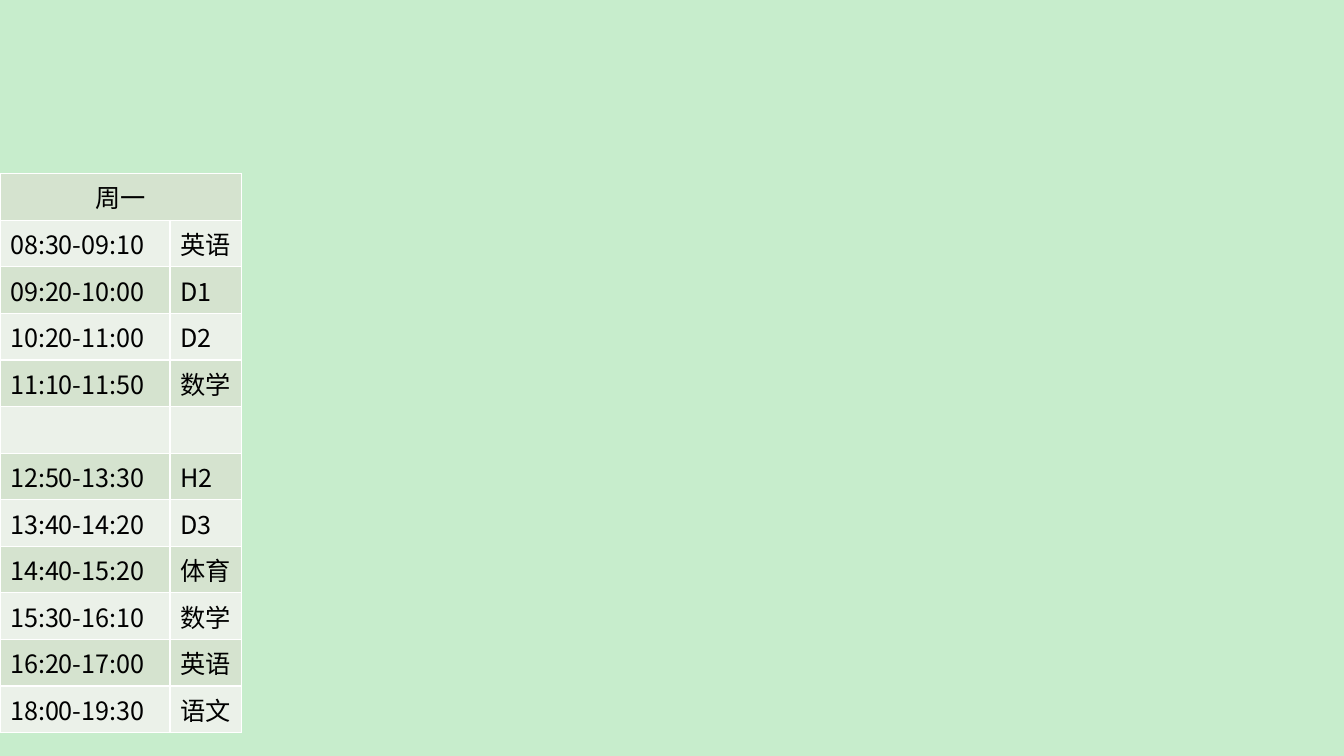
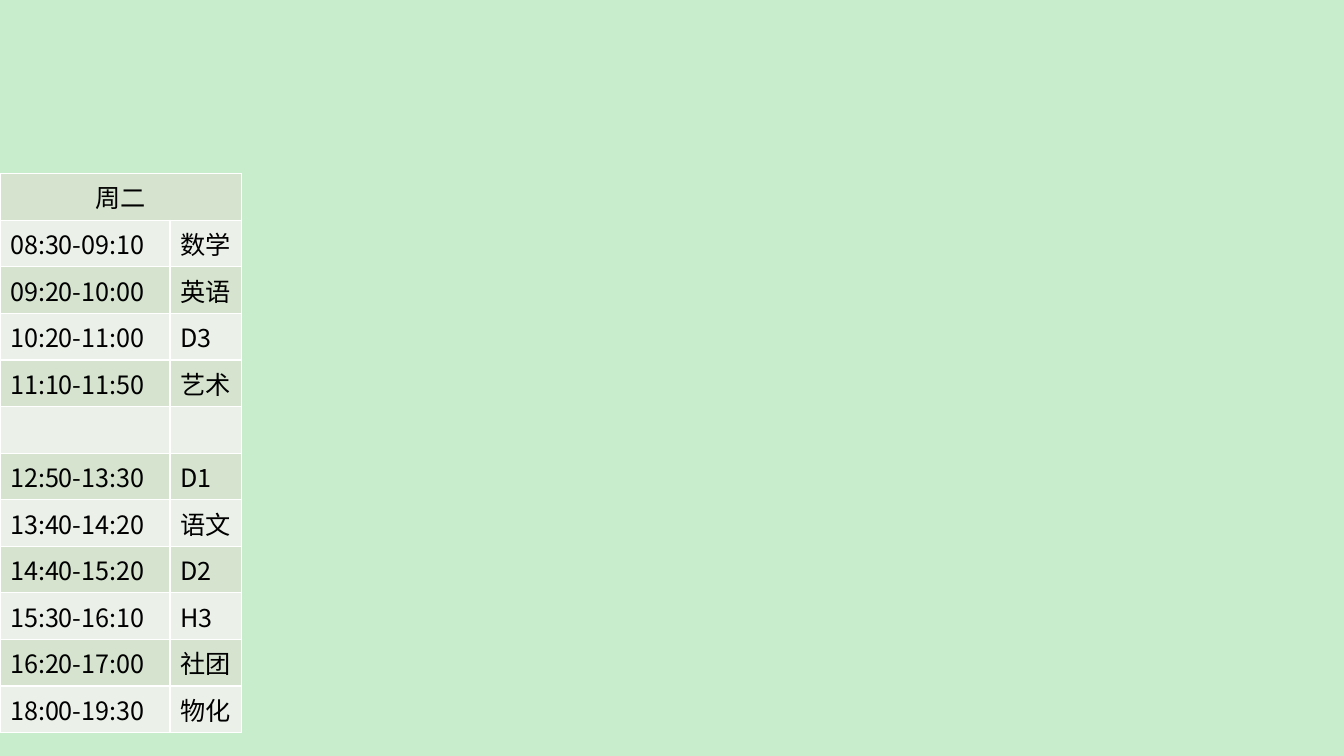
from dataclasses import dataclass

from lxml import etree
from pptx import Presentation
from pptx.dml import color
from pptx.enum import text
from pptx.oxml import ns
from pptx.util import Pt

TIMES = [
    "08:30-09:10", "09:20-10:00", "10:20-11:00", "11:10-11:50", "",
    "12:50-13:30", "13:40-14:20", "14:40-15:20", "15:30-16:10",
    "16:20-17:00", "18:00-19:30",
]
TIMETABLES = {
    "周一": ["英语", "D1", "D2", "数学", "", "H2", "D3", "体育", "数学", "英语", "语文"],
    "周二": ["数学", "英语", "D3", "艺术", "", "D1", "语文", "D2", "H3", "社团", "物化"],
}


@dataclass(frozen=True)
class Theme:
    background: str = "C7EDCC"
    bands: tuple = ("D5E3CF", "EBF1E9")
    border: str = "FFFFFF"
    ink: str = "000000"
    font: str = "Noto Sans CJK SC"
    text_size: float = 18
    border_width: float = 1


THEME = Theme()
SLIDE_SIZE = (960, 540)
TABLE_TOP = 124
COLUMN_WIDTHS = (121.4, 51.1)
ROW_HEIGHT = 29.2


def paint(fill, rgb):
    fill.solid()
    fill.fore_color.rgb = color.RGBColor.from_string(rgb)


def add_borders(cell):
    """Draw the four edges; they must come before the cell's fill."""
    properties = cell._tc.get_or_add_tcPr()
    for position, edge in enumerate(("lnL", "lnR", "lnT", "lnB")):
        line = etree.Element(ns.qn(f"a:{edge}"), w=str(Pt(THEME.border_width)))
        fill = etree.SubElement(line, ns.qn("a:solidFill"))
        etree.SubElement(fill, ns.qn("a:srgbClr"), val=THEME.border)
        properties.insert(position, line)


def write(cell, wording, alignment):
    """Write the wording; an empty cell keeps the type size and font as its end mark."""
    paragraph = cell.text_frame.paragraphs[0]
    paragraph.alignment = alignment
    run = paragraph.add_run()
    run.text = wording
    formats = {"size": Pt(THEME.text_size), "name": THEME.font, "bold": False}
    for attribute, value in formats.items():
        setattr(run.font, attribute, value)
    run.font.color.rgb = color.RGBColor.from_string(THEME.ink)
    properties = run._r.get_or_add_rPr()
    etree.SubElement(properties, ns.qn("a:ea"), typeface=THEME.font)
    if not wording:
        properties.tag = ns.qn("a:endParaRPr")
        paragraph._p.replace(run._r, properties)


def add_timetable(slide, day, subjects):
    rows = [(day, ""), *zip(TIMES, subjects)]
    frame = slide.shapes.add_table(
        len(rows), len(COLUMN_WIDTHS), Pt(0), Pt(TABLE_TOP),
        Pt(sum(COLUMN_WIDTHS)), Pt(ROW_HEIGHT * len(rows)),
    )
    table = frame.table
    table.first_row = table.horz_banding = False
    for column, width in zip(table.columns, COLUMN_WIDTHS):
        column.width = Pt(width)
    for index, wordings in enumerate(rows):
        table.rows[index].height = Pt(ROW_HEIGHT)
        alignment = text.PP_ALIGN.LEFT if index else text.PP_ALIGN.CENTER
        for cell, wording in zip(table.rows[index].cells, wordings):
            paint(cell.fill, THEME.bands[index % len(THEME.bands)])
            add_borders(cell)
            write(cell, wording, alignment)
    table.cell(0, 0).merge(table.cell(0, 1))


def main():
    presentation = Presentation()
    presentation.slide_width, presentation.slide_height = map(Pt, SLIDE_SIZE)
    paint(presentation.slide_master.background.fill, THEME.background)
    blank_layout = presentation.slide_layouts[6]
    for day, subjects in TIMETABLES.items():
        add_timetable(presentation.slides.add_slide(blank_layout), day, subjects)
    presentation.save("out.pptx")


if __name__ == "__main__":
    main()
